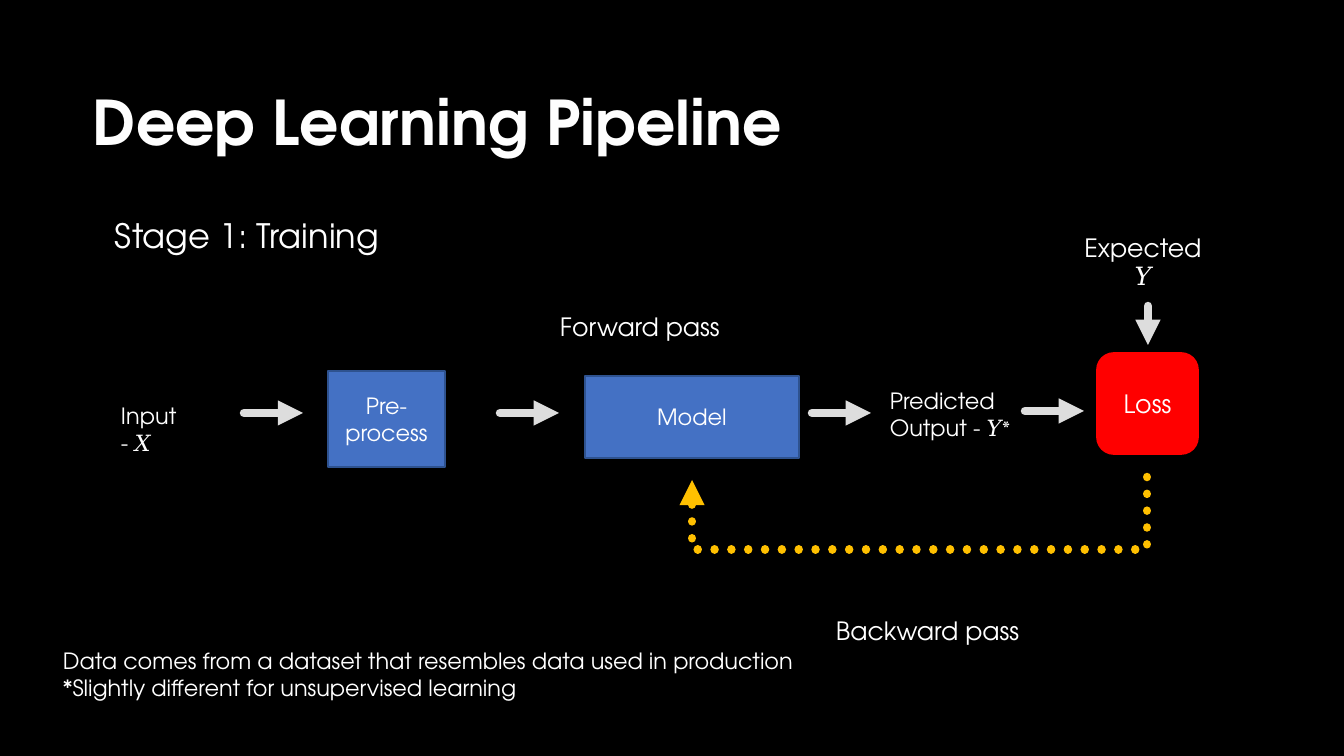
"""Build the slide about the training stage of a deep learning pipeline."""
from dataclasses import dataclass
from lxml.etree import SubElement
from pptx import Presentation
from pptx.dml.color import RGBColor
from pptx.enum.dml import MSO_LINE
from pptx.enum.shapes import MSO_CONNECTOR, MSO_SHAPE
from pptx.enum.text import MSO_ANCHOR, PP_ALIGN
from pptx.oxml.ns import qn
from pptx.util import Emu, Pt

SCALE = 914400 / 100.8


def px(count):
    return Emu(round(count * SCALE))


@dataclass(frozen=True)
class Theme:
    back: str = "000000"
    text: str = "FFFFFF"
    title: str = "FEFEFE"
    box: str = "4471C4"
    edge: str = "2E528F"
    loss: str = "FF0000"
    arrow: str = "DDDDDD"
    loop: str = "FFC000"
    font: str = "TeX Gyre Adventor"
    math: str = "Cambria"
    huge: int = 44
    large: int = 24
    label: int = 18
    body: int = 16


class Board:
    def __init__(self, slide, theme):
        self.slide = slide
        self.theme = theme
        fill = slide.background.fill
        fill.solid()
        fill.fore_color.rgb = RGBColor.from_string(theme.back)

    def letter(self, frame, lines, size, align, anchor, color=None, bold=False):
        frame.word_wrap = True
        frame.vertical_anchor = anchor
        frame.margin_left = frame.margin_right = 0
        frame.margin_top = frame.margin_bottom = 0
        for index, line in enumerate(lines):
            para = frame.add_paragraph() if index else frame.paragraphs[0]
            para.alignment = align
            for turn, part in enumerate(line.split("|")):
                if not part:
                    continue
                run = para.add_run()
                run.text = part
                run.font.name = self.theme.math if turn % 2 else self.theme.font
                run.font.size = Pt(size)
                run.font.bold = bold
                run.font.color.rgb = RGBColor.from_string(color or self.theme.text)

    def text(self, area, lines, size, align=PP_ALIGN.LEFT, anchor=MSO_ANCHOR.TOP, **look):
        box = self.slide.shapes.add_textbox(*map(px, area))
        self.letter(box.text_frame, lines, size, align, anchor, **look)
        return box

    def block(self, kind, area, label, size, fill, edge, width):
        shape = self.slide.shapes.add_shape(kind, *map(px, area))
        shape.shadow.inherit = False
        shape.fill.solid()
        shape.fill.fore_color.rgb = RGBColor.from_string(fill)
        shape.line.color.rgb = RGBColor.from_string(edge)
        shape.line.width = Pt(width)
        self.letter(shape.text_frame, [label], size, PP_ALIGN.CENTER, MSO_ANCHOR.MIDDLE)

    def arrow(self, kind, ends, color, dash=None):
        link = self.slide.shapes.add_connector(kind, *map(px, ends))
        link.line.color.rgb = RGBColor.from_string(color)
        link.line.width = Pt(6)
        if dash:
            link.line.dash_style = dash
        props = link._element.spPr
        line = props.find(qn("a:ln"))
        line.set("cap", "rnd")
        SubElement(line, qn("a:round"))
        SubElement(line, qn("a:tailEnd"), type="triangle")
        SubElement(props, qn("a:effectLst"))
        return link

    def loop(self, start, end, floor, color):
        (x1, y1), (x2, y2) = start, end
        wide, tall = y2 - y1, x1 - x2
        left = (x1 + x2 - wide) / 2
        top = (y1 + y2 - tall) / 2
        ends = left, top, left + wide, top + tall
        link = self.arrow(MSO_CONNECTOR.ELBOW, ends, color, MSO_LINE.ROUND_DOT)
        props = link._element.spPr
        props.find(qn("a:xfrm")).set("rot", str(90 * 60000))
        shape = props.find(qn("a:prstGeom"))
        guides = shape.find(qn("a:avLst"))
        if guides is None:
            guides = SubElement(shape, qn("a:avLst"))
        bend = round((floor - y1) / wide * 100000)
        SubElement(guides, qn("a:gd"), name="adj1", fmla=f"val {bend}")


def main():
    deck = Presentation()
    deck.slide_width, deck.slide_height = px(1344), px(756)
    theme = Theme()
    board = Board(deck.slides.add_slide(deck.slide_layouts[6]), theme)

    board.text((93, 81, 1099, 77), ["Deep Learning Pipeline"], theme.huge,
               anchor=MSO_ANCHOR.BOTTOM, color=theme.title, bold=True)
    board.text((115, 215, 427, 43), ["Stage 1: Training"], theme.large)
    board.text((560, 311, 234, 32), ["Forward pass"], theme.label)
    board.text((836, 615, 234, 32), ["Backward pass"], theme.label)
    board.text((121, 402, 91, 31), ["Input - |𝑋"], theme.body)
    board.text((890, 387, 125, 55), ["Predicted Output - |𝑌*"], theme.body)
    goal = board.text((1080, 232, 126, 61), ["Expected", "|𝑌"], theme.label, PP_ALIGN.CENTER)
    goal.text_frame.paragraphs[1].line_spacing = Pt(20)
    board.text((63, 647, 738, 56),
               ["Data comes from a dataset that resembles data used in production",
                "*Slightly different for unsupervised learning"], theme.body)

    board.block(MSO_SHAPE.RECTANGLE, (328, 371, 117, 96), "Pre- process",
                theme.body, theme.box, theme.edge, 1)
    board.block(MSO_SHAPE.RECTANGLE, (585, 376, 214, 82), "Model",
                theme.body, theme.box, theme.edge, 1)
    board.block(MSO_SHAPE.ROUNDED_RECTANGLE, (1097, 353, 101, 101), "Loss",
                theme.label, theme.loss, theme.loss, 1.25)

    for left, y in ((244, 413), (500, 413), (812, 413), (1025, 411)):
        board.arrow(MSO_CONNECTOR.STRAIGHT, (left, y, left + 59, y), theme.arrow)
    board.arrow(MSO_CONNECTOR.STRAIGHT, (1148, 306, 1148, 345), theme.arrow)
    board.loop((1147, 477), (692, 480), 549, theme.loop)
    deck.save("out.pptx")


if __name__ == "__main__":
    main()
